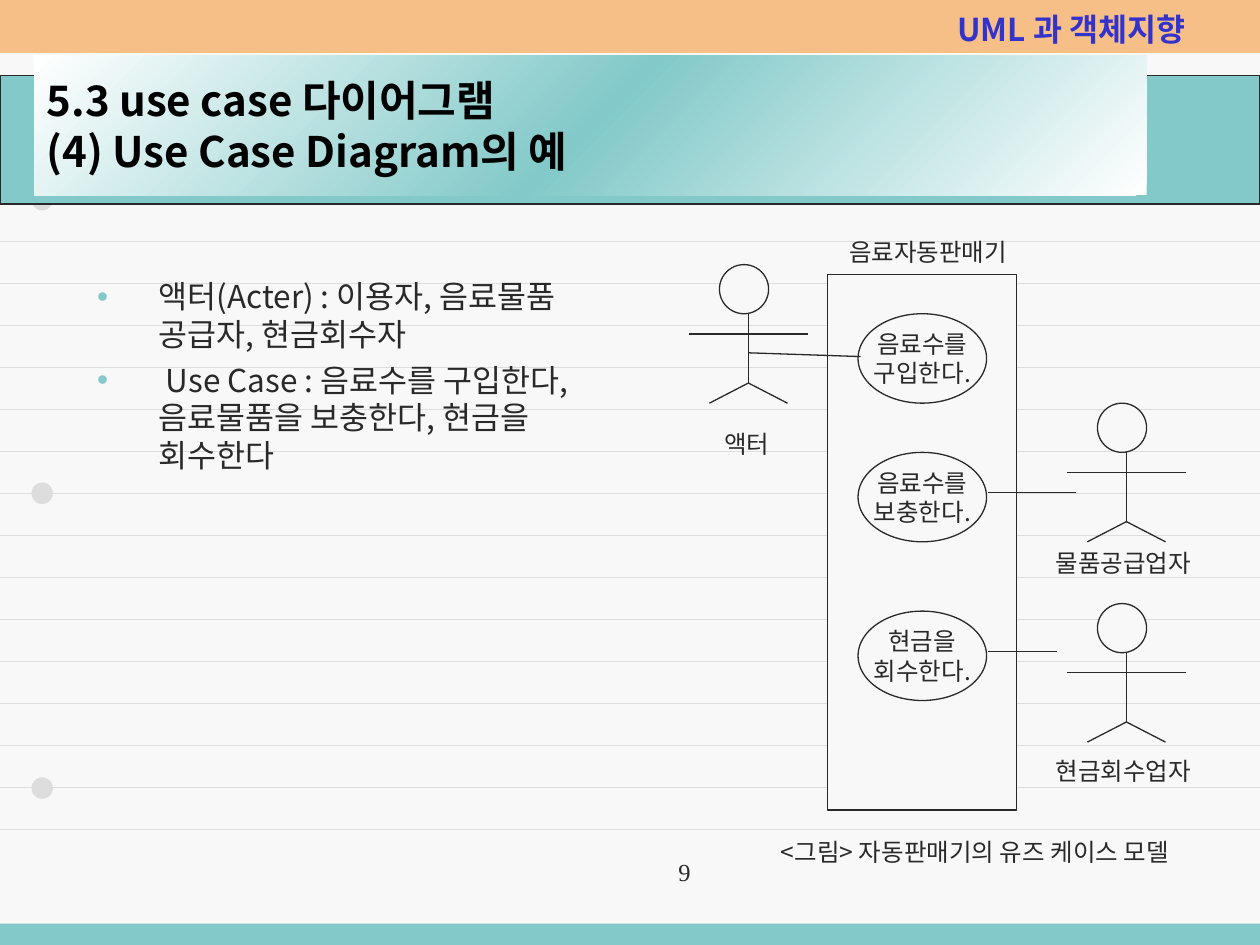
"""Build the vending machine use case diagram slide."""
from dataclasses import dataclass

from lxml.etree import SubElement
from pptx import Presentation
from pptx.dml.color import RGBColor
from pptx.enum.shapes import MSO_CONNECTOR, MSO_SHAPE as Preset
from pptx.enum.text import MSO_ANCHOR as Anchor, MSO_AUTO_SIZE as AutoSize, PP_ALIGN as Align
from pptx.oxml.ns import qn
from pptx.util import Inches, Pt


@dataclass(frozen=True)
class Theme:
    paper: str = "F8F8F8"
    rule: str = "DDDDDD"
    teal: str = "83C9C9"
    orange: str = "F6BF88"
    ink: str = "292929"
    black: str = "000000"
    white: str = "FFFFFF"
    blue: str = "3333CC"
    font: str = "Noto Sans CJK KR"
    number_font: str = "Times New Roman"
    title_size: int = 24
    body_size: int = 18
    label_size: int = 14
    thin: float = 0.5
    line: float = 0.75


THEME = Theme()
HEADER = "UML 과 객체지향"
TITLE = ["5.3 use case 다이어그램", "(4) Use Case Diagram의 예"]
BULLETS = [
    "액터(Acter) : 이용자, 음료물품 공급자, 현금회수자",
    " Use Case : 음료수를 구입한다, 음료물품을 보충한다, 현금을 회수한다",
]
ACTORS = [
    {"name": "액터", "axis": 5.94, "top": 2.1, "label": (5.65, 3.36, 0.56, 0.34)},
    {"name": "현금회수업자", "axis": 8.94, "top": 4.79, "label": (8.28, 5.95, 1.27, 0.34)},
    {"name": "물품공급업자", "axis": 8.94, "top": 3.2, "label": (8.28, 4.3, 1.27, 0.34)},
]
USE_CASES = [
    (["음료수를", "구입한다."], 2.49),
    (["음료수를", "보충한다."], 3.59),
    (["현금을", "회수한다."], 4.85),
]
ASSOCIATIONS = [
    (5.94, 2.8, 6.83, 2.83),
    (7.84, 3.91, 8.54, 3.91),
    (7.84, 5.17, 8.39, 5.17),
]
SYSTEM = "음료자동판매기"
CAPTION = "<그림> 자동판매기의 유즈 케이스 모델"
PAGE_NUMBER = "9"


def rgb(value):
    return RGBColor.from_string(value)


def place(shape, left, top, width, height):
    shape.left, shape.top = Inches(left), Inches(top)
    shape.width, shape.height = Inches(width), Inches(height)


def add_run(paragraph, text, size, color=THEME.ink, bold=False, font=THEME.font):
    run = paragraph.add_run()
    run.text = text
    run.font.size = Pt(size)
    run.font.bold = bold
    run.font.color.rgb = rgb(color)
    run.font.name = font
    SubElement(run._r.get_or_add_rPr(), qn("a:ea"), typeface=font)


def add_paragraph(frame, index):
    return frame.add_paragraph() if index else frame.paragraphs[0]


def add_line(slide, x1, y1, x2, y2, color=THEME.ink, width=THEME.line):
    line = slide.shapes.add_connector(
        MSO_CONNECTOR.STRAIGHT, Inches(x1), Inches(y1), Inches(x2), Inches(y2))
    line.line.color.rgb = rgb(color)
    line.line.width = Pt(width)
    SubElement(line.element.spPr, qn("a:effectLst"))


def add_figure(slide, preset, box, fill, outline=None):
    shape = slide.shapes.add_shape(preset, *map(Inches, box))
    shape.shadow.inherit = False
    shape.fill.solid()
    shape.fill.fore_color.rgb = rgb(fill)
    if outline:
        shape.line.color.rgb = rgb(outline)
        shape.line.width = Pt(THEME.line)
    else:
        shape.line.fill.background()
    return shape


def add_label(slide, text, box, align=Align.LEFT, size=THEME.label_size, **style):
    frame = slide.shapes.add_textbox(*map(Inches, box)).text_frame
    frame.word_wrap = True
    frame.margin_right = Inches(0.1 if align == Align.RIGHT else 0)
    frame.paragraphs[0].alignment = align
    add_run(frame.paragraphs[0], text, size, **style)


def add_background(slide):
    slide.background.fill.solid()
    slide.background.fill.fore_color.rgb = rgb(THEME.paper)
    for step in range(17):
        y = round(1.25 + step / 3, 2)
        add_line(slide, 0, y, 10, y, THEME.rule, THEME.thin)
    for top in (1.5, 3.83, 6.17):
        add_figure(slide, Preset.OVAL, (0.25, top, 0.17, 0.17), THEME.rule)
    add_figure(slide, Preset.RECTANGLE, (0, 7.33, 10, 0.17), THEME.teal)
    add_figure(slide, Preset.RECTANGLE, (0, 0, 10, 0.42), THEME.orange)
    add_figure(slide, Preset.RECTANGLE, (0, 0.6, 10, 1.02), THEME.teal, THEME.ink)
    add_label(slide, HEADER, (7.5, 0.03, 2.1, 0.25),
              size=THEME.body_size, color=THEME.blue, bold=True)


def bring_forward(shape):
    shape.element.getparent().append(shape.element)


def fill_title(title):
    bring_forward(title)
    place(title, 0.27, 0.44, 8.83, 1.11)
    gradient = SubElement(title.element.spPr, qn("a:gradFill"), rotWithShape="1")
    stops = SubElement(gradient, qn("a:gsLst"))
    for position, color in ((0, THEME.white), (50, THEME.teal), (100, THEME.white)):
        stop = SubElement(stops, qn("a:gs"), pos=str(position * 1000))
        SubElement(stop, qn("a:srgbClr"), val=color)
    SubElement(gradient, qn("a:lin"), ang=str(225 * 60000), scaled="0")
    frame = title.text_frame
    frame.auto_size = AutoSize.NONE
    frame.vertical_anchor = Anchor.MIDDLE
    paragraph = frame.paragraphs[0]
    paragraph.alignment = Align.LEFT
    for index, text in enumerate(TITLE):
        if index:
            paragraph.add_line_break()
        add_run(paragraph, text, THEME.title_size, THEME.black, bold=True)


def fill_body(body):
    bring_forward(body)
    place(body, 0.67, 2.15, 4.02, 4.58)
    body.text_frame.auto_size = AutoSize.NONE
    for index, text in enumerate(BULLETS):
        paragraph = add_paragraph(body.text_frame, index)
        paragraph.space_before = Pt(4.5 if index else 0)
        properties = paragraph._p.get_or_add_pPr()
        properties.set("marL", str(Inches(0.49)))
        properties.set("indent", str(-Inches(0.49)))
        properties.set("hangingPunct", "0")
        color = SubElement(properties, qn("a:buClr"))
        SubElement(color, qn("a:srgbClr"), val=THEME.teal)
        SubElement(properties, qn("a:buChar"), char="•")
        add_run(paragraph, text, THEME.body_size)


def add_actor(slide, name, axis, top, label):
    add_figure(slide, Preset.OVAL, (axis - 0.23, top, 0.39, 0.39), THEME.paper, THEME.ink)
    hip, foot = top + 0.94, top + 1.1
    add_line(slide, axis - 0.47, top + 0.55, axis + 0.47, top + 0.55)
    add_line(slide, axis, top + 0.39, axis, hip)
    for side in (-0.31, 0.31):
        add_line(slide, axis, hip, axis + side, foot)
    add_label(slide, name, label)


def add_use_case(slide, lines, top):
    oval = add_figure(slide, Preset.OVAL, (6.81, top, 1.02, 0.71), THEME.paper, THEME.ink)
    frame = oval.text_frame
    frame.word_wrap = False
    frame.vertical_anchor = Anchor.MIDDLE
    for index, text in enumerate(lines):
        paragraph = add_paragraph(frame, index)
        paragraph.alignment = Align.CENTER
        add_run(paragraph, text, THEME.label_size)


def main():
    presentation = Presentation()
    presentation.slide_width, presentation.slide_height = Inches(10), Inches(7.5)
    slide = presentation.slides.add_slide(presentation.slide_layouts[1])
    add_background(slide)
    fill_title(slide.shapes.title)
    fill_body(slide.placeholders[1])
    for actor in ACTORS:
        add_actor(slide, **actor)
    add_figure(slide, Preset.RECTANGLE, (6.57, 2.18, 1.5, 4.25), THEME.paper, THEME.ink)
    for lines, top in USE_CASES:
        add_use_case(slide, lines, top)
    for ends in ASSOCIATIONS:
        add_line(slide, *ends)
    add_label(slide, CAPTION, (6.1, 6.59, 3.46, 0.34))
    add_label(slide, SYSTEM, (6.64, 1.83, 1.45, 0.34))
    add_label(slide, PAGE_NUMBER, (3.25, 6.75, 2.33, 0.52),
              align=Align.RIGHT, font=THEME.number_font)
    presentation.save("out.pptx")


if __name__ == "__main__":
    main()
